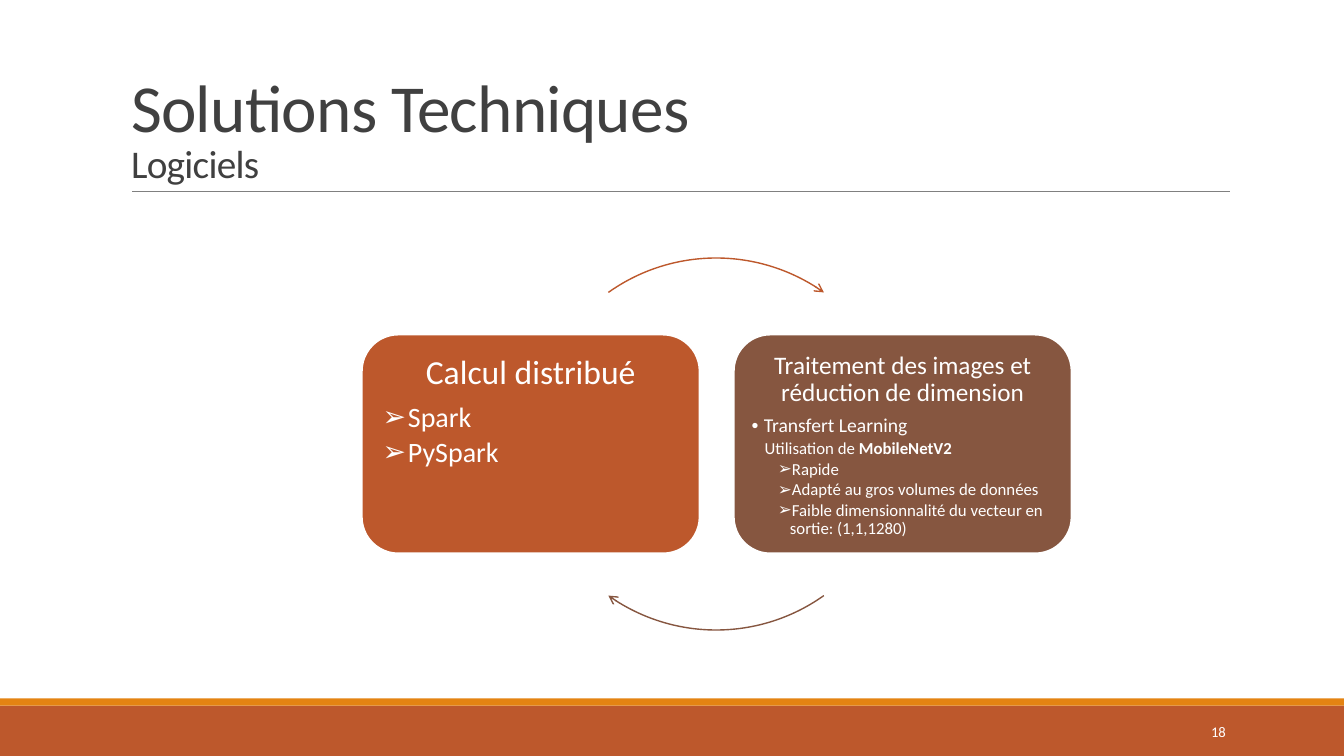
import pptx
import pptx.dml.color
import pptx.enum.shapes
import pptx.enum.text
import pptx.oxml
import pptx.oxml.ns
import pptx.util

SHAPES = pptx.enum.shapes.MSO_SHAPE
ALIGN = pptx.enum.text.PP_ALIGN
ANCHOR = pptx.enum.text.MSO_ANCHOR
TWO_CONTENT_LAYOUT = 3
COLUMNS, ROWS = 40, 30
RUST, ORANGE, BROWN = "BD582C", "E48312", "865640"
WHITE, GREY, CHARCOAL = "FFFFFF", "808080", "404040"


def colour(value):
    return pptx.dml.color.RGBColor.from_string(value)


def assign(target, values):
    for key, value in values.items():
        setattr(target, key, value)


def add_xml(parent, tag, **attributes):
    child = pptx.oxml.ns.qn(tag)
    element = parent.makeelement(child, attributes)
    parent.append(element)
    return element


class Deck:
    font = "Calibri"

    def __init__(self):
        self.presentation = pptx.Presentation()
        assign(self.presentation, {"slide_width": pptx.util.Inches(13.333),
                                   "slide_height": pptx.util.Inches(7.5)})
        layout = self.presentation.slide_layouts[TWO_CONTENT_LAYOUT]
        self.slide = self.presentation.slides.add_slide(layout)

    def across(self, columns):
        return round(self.presentation.slide_width * columns / COLUMNS)

    def down(self, rows):
        return round(self.presentation.slide_height * rows / ROWS)

    def area(self, left, top, width, height):
        return {"left": self.across(left), "top": self.down(top),
                "width": self.across(width), "height": self.down(height)}

    def shape(self, preset, area, fill=None, line=None, weight=1):
        shape = self.slide.shapes.add_shape(preset, **self.area(*area))
        shape.shadow.inherit = False
        if fill:
            shape.fill.solid()
            shape.fill.fore_color.rgb = colour(fill)
        else:
            shape.fill.background()
        if line:
            shape.line.color.rgb = colour(line)
            shape.line.width = pptx.util.Pt(weight)
        else:
            shape.line.fill.background()
        return shape

    def rule(self, left, right, row):
        rule = self.slide.shapes.add_connector(
            pptx.enum.shapes.MSO_CONNECTOR.STRAIGHT,
            self.across(left), self.down(row), self.across(right), self.down(row))
        rule.line.color.rgb = colour(GREY)
        rule.line.width = pptx.util.Pt(0.5)
        add_xml(rule._element.spPr, "a:effectLst")

    def arc(self, area, start, end, line):
        arc = self.shape(SHAPES.ARC, area, line=line)
        for index, degrees in enumerate((start, end)):
            arc.adjustments[index] = degrees * 0.6
        add_xml(arc.line._get_or_add_ln(), "a:tailEnd", type="arrow")

    def run(self, paragraph, text, size, ink=WHITE, bold=False):
        run = paragraph.add_run()
        run.text = text
        assign(run.font, {"name": self.font, "size": pptx.util.Pt(size), "bold": bold})
        run.font.color.rgb = colour(ink)
        return run

    def frame(self, holder, area, inset, anchor):
        assign(holder, self.area(*area))
        margins = {"margin_" + side: pptx.util.Inches(inset)
                   for side in ("left", "top", "right", "bottom")}
        assign(holder.text_frame, {
            **margins, "word_wrap": True, "vertical_anchor": anchor,
            "auto_size": pptx.enum.text.MSO_AUTO_SIZE.NONE})
        return holder.text_frame

    def title(self, area, heading, subtitle):
        frame = self.frame(self.slide.shapes.title, area, 0.1, ANCHOR.BOTTOM)
        frame.margin_top = frame.margin_bottom = pptx.util.Inches(0.05)
        paragraph = frame.paragraphs[0]
        assign(paragraph, {"alignment": ALIGN.LEFT, "line_spacing": 0.85})
        for text, size in ((heading, 48), (subtitle, 28)):
            if paragraph.runs:
                paragraph.add_line_break()
            run = self.run(paragraph, text, size, CHARCOAL)
            run.font._element.set("spc", "-50")

    def card(self, holder_index, area, fill, inset, lines):
        self.shape(SHAPES.ROUNDED_RECTANGLE, area, fill, WHITE, 1.25)
        left, top, width, height = area
        holder = self.slide.placeholders[holder_index]
        self.slide.shapes._spTree.append(holder._element)
        inner = (left + 0.32, top + 0.43, width - 0.64, height - 0.86)
        frame = self.frame(holder, inner, inset, ANCHOR.TOP)
        for index, (level, size, bullet, indent, hang, parts) in enumerate(lines):
            paragraph = frame.add_paragraph() if index else frame.paragraphs[0]
            assign(paragraph, {
                "level": level, "line_spacing": 0.9,
                "alignment": ALIGN.LEFT if level else ALIGN.CENTER,
                "space_before": pptx.util.Pt(0),
                "space_after": pptx.util.Pt(size * (0.15 if level else 0.35))})
            properties = paragraph._p.get_or_add_pPr()
            properties.set("marL", str(pptx.util.Inches(indent)))
            properties.set("indent", str(-pptx.util.Inches(hang)))
            if bullet:
                add_xml(properties, "a:buChar", char=bullet)
            else:
                add_xml(properties, "a:buNone")
            for part, bold in parts:
                self.run(paragraph, part, size, bold=bold)

    def page_number(self, area, number):
        holder = self.slide.shapes.add_textbox(**self.area(*area))
        frame = self.frame(holder, area, 0.1, ANCHOR.MIDDLE)
        frame.paragraphs[0].alignment = ALIGN.RIGHT
        self.run(frame.paragraphs[0], number, 10.5)


def heading(text, size):
    return 0, size, None, 0, 0, [(text, False)]


def tool(text):
    return 1, 20, "➢", 0.25, 0.25, [(text, False)]


def benefit(text):
    return 3, 12, "➢", 0.38, 0.12, [(text, False)]


def main():
    deck = Deck()
    deck.shape(SHAPES.RECTANGLE, (0, 28, COLUMNS, 2), RUST)
    deck.shape(SHAPES.RECTANGLE, (0, 27.72, COLUMNS, 0.28), ORANGE)
    deck.rule(3.94, 36.62, 7.6)
    deck.title((3.6, 1.24, 33, 6.36), "Solutions Techniques", "Logiciels")

    computing = [heading("Calcul distribué", 24), tool("Spark"), tool("PySpark")]
    imaging = [
        heading("Traitement des images et réduction de dimension", 18),
        (1, 14, "•", 0.12, 0.12, [("Transfert Learning", False)]),
        (2, 12, None, 0.25, 0.12, [("Utilisation de ", False), ("MobileNetV2", True)]),
        benefit("Rapide"),
        benefit("Adapté au gros volumes de données"),
        benefit("Faible dimensionnalité du vecteur en sortie: (1,1,1280)"),
    ]
    first_column, pitch = 10.77, 11.07
    cycle = (15.78, 10.24, pitch, 14.76)
    steps = ((computing, RUST, 0.1, 234.6), (imaging, BROWN, 0.07, 54.6))
    for index, (lines, fill, inset, start) in enumerate(steps):
        area = (first_column + index * pitch, 13.28, 10.05, 8.68)
        deck.card(index + 1, area, fill, inset, lines)
        deck.arc(cycle, start, start + 70.8, fill)

    deck.page_number((32.5, 28.24, 4.28, 1.6), "18")
    deck.presentation.save("out.pptx")


if __name__ == "__main__":
    main()
